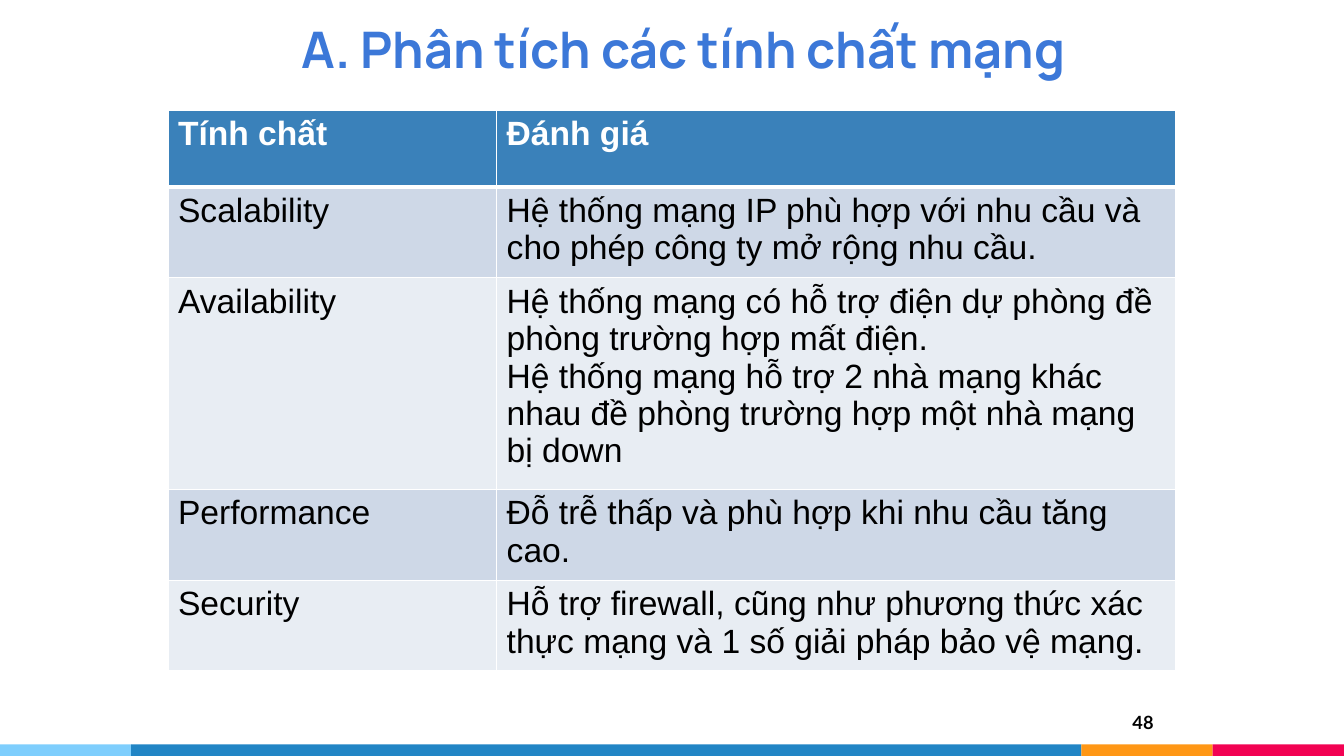
from dataclasses import dataclass

from lxml import etree
from pptx import Presentation, util as u
from pptx.dml.color import RGBColor
from pptx.enum import shapes, text
from pptx.oxml.ns import qn

PX = 9525
WIDE, HIGH = 1280, 720


@dataclass
class Bar:
    """One coloured part of the footer strip."""
    width: int
    fill: str


@dataclass
class Label:
    """A line of text in its own box."""
    words: str
    box: tuple[int, int, int, int]
    font: str
    size: int
    hue: str
    align: text.PP_ALIGN
    anchor: text.MSO_ANCHOR


BARS = [Bar(125, "7ECEFD"), Bar(905, "2185C5"),
        Bar(125, "FF9715"), Bar(125, "F20253")]
LABELS = [
    Label("48", (1050, 668, 58, 44), "Lato", 13, "000000",
          text.PP_ALIGN.RIGHT, text.MSO_ANCHOR.TOP),
    Label("A. Phân tích các tính chất mạng", (276, 0, 750, 84), "Manrope", 36,
          "3C78D8", text.PP_ALIGN.CENTER, text.MSO_ANCHOR.BOTTOM),
]
ROWS = [
    ("Tính chất", "Đánh giá"),
    ("Scalability", "Hệ thống mạng IP phù hợp với nhu cầu và cho phép công ty "
     "mở rộng nhu cầu."),
    ("Availability", "Hệ thống mạng có hỗ trợ điện dự phòng đề phòng trường "
     "hợp mất điện.\nHệ thống mạng hỗ trợ 2 nhà mạng khác nhau đề phòng "
     "trường hợp một nhà mạng bị down"),
    ("Performance", "Đỗ trễ thấp và phù hợp khi nhu cầu tăng cao."),
    ("Security", "Hỗ trợ firewall, cũng như phương thức xác thực mạng và "
     "1 số giải pháp bảo vệ mạng."),
]
COLS = (313, 647)
ROW = 73
HEAD = "3A81BA"
BANDS = ("E8EDF3", "CED8E7")


def px(*sizes: int) -> list[u.Emu]:
    """Turn px into EMU."""
    return [u.Emu(size * PX) for size in sizes]


def rgb(code: str) -> RGBColor:
    """Turn a hex string into a colour."""
    return RGBColor.from_string(code)


def style(frame, font: str, size: int, hue: str, bold: bool) -> None:
    """Format every run of a text frame."""
    for para in frame.paragraphs:
        for run in para.runs:
            run.font.name = font
            run.font.size = u.Pt(size)
            run.font.bold = bold
            run.font.color.rgb = rgb(hue)


def draw_bars(slide, bars: list[Bar]) -> None:
    """Lay the strip along the foot of the slide."""
    left, high = 0, 11
    for bar in bars:
        rect = slide.shapes.add_shape(
            shapes.MSO_SHAPE.RECTANGLE,
            *px(left, HIGH - high, bar.width, high))
        rect.shadow.inherit = False
        rect.fill.solid()
        rect.fill.fore_color.rgb = rgb(bar.fill)
        rect.line.fill.background()
        left += bar.width


def draw_label(slide, label: Label) -> None:
    """Add a text box for a label."""
    frame = slide.shapes.add_textbox(*px(*label.box)).text_frame
    frame.word_wrap = True
    frame.vertical_anchor = label.anchor
    frame.margin_left = frame.margin_right = u.Inches(0.1)
    frame.margin_top = frame.margin_bottom = u.Inches(0.1)
    frame.text = label.words
    frame.paragraphs[0].alignment = label.align
    style(frame, label.font, label.size, label.hue, True)


def edge(cell, side: str, width: int) -> None:
    """Draw one white side of a cell."""
    props = cell._tc.get_or_add_tcPr()
    line = etree.SubElement(props, qn(f"a:{side}"), w=str(u.Pt(width)))
    fill = etree.SubElement(line, qn("a:solidFill"))
    etree.SubElement(fill, qn("a:srgbClr"), val="FFFFFF")


def draw_table(slide, rows: list[tuple[str, str]]) -> None:
    """Build the table of network traits."""
    frame = slide.shapes.add_table(
        len(rows), len(COLS), *px(160, 105, sum(COLS), ROW * len(rows)))
    table = frame.table
    for col, width in zip(table.columns, px(*COLS)):
        col.width = width
    for i, row in enumerate(rows):
        head = i == 0
        for j, words in enumerate(row):
            cell = table.cell(i, j)
            cell.text_frame.text = words
            style(cell.text_frame, "Arial", 24,
                  "FFFFFF" if head else "000000", head)
            for side in ("lnL", "lnR", "lnT", "lnB"):
                thick = (side == "lnB" and head) or (side == "lnT" and i == 1)
                edge(cell, side, 3 if thick else 1)
            cell.fill.solid()
            cell.fill.fore_color.rgb = rgb(HEAD if head else BANDS[i % 2])


def main() -> None:
    """Build and save the slide."""
    deck = Presentation()
    deck.slide_width, deck.slide_height = px(WIDE, HIGH)
    slide = deck.slides.add_slide(deck.slide_layouts[6])
    draw_bars(slide, BARS)
    for label in LABELS:
        draw_label(slide, label)
    draw_table(slide, ROWS)
    deck.save("out.pptx")


if __name__ == "__main__":
    main()
